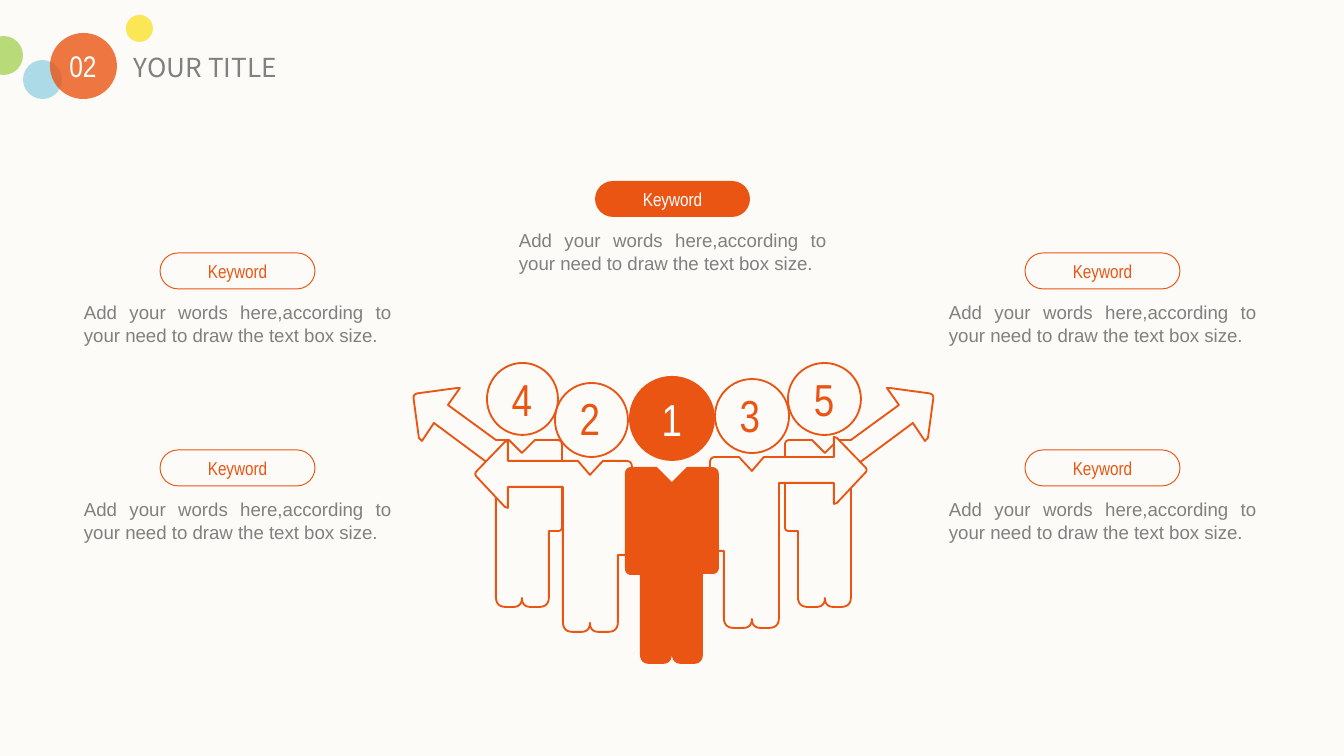
from lxml import etree
from pptx import Presentation
from pptx import util as u
from pptx.dml.color import RGBColor
from pptx.enum import shapes, text
from pptx.oxml.ns import qn

PX = 914400 / 134.4
THEME = {
    "paper": "FCFBF7", "orange": "EA5514", "gray": "808080", "white": "FFFFFF",
    "yellow": "FBE22D", "green": "A9D25A", "blue": "98D2E3",
    "narrow": "Arial Narrow", "body": "Arial", "heading": "Noto Sans CJK SC",
    "small": 10, "title": 14, "section": 16, "digit": 24,
}

TITLE = "YOUR TITLE"
SECTION = "02"
# left, top, width, height, colour
BUBBLES = [
    (126, 15, 27, 27, "yellow"), (-16, 36, 39, 39, "green"),
    (23, 60, 39, 39, "blue"), (50, 33, 67, 66, "orange"),
]
KEYWORD = "Keyword"
CAPTION = "Add your words here,according to your need to draw the text box size."
# left and top of each keyword pill, and whether it is solid
KEYWORDS = [
    (1025, 253, False), (1025, 450, False),
    (160, 253, False), (160, 450, False), (595, 181, True),
]

# Body outlines as corners: x, y, corner radius
OUTER_BODY = [
    (413, 394, 5), (457, 388, 0), (460, 388, 0), (448, 405, 0), (496, 440, 0),
    (509, 440, 0), (522, 453, 0), (535, 440, 0), (562, 440, 5), (562, 531, 4),
    (549, 531, 0), (549, 607, 10), (522, 607, 9), (522, 598, 0), (522, 607, 9),
    (496, 607, 10), (496, 469, 0), (434, 423, 0), (422, 441, 0), (419, 438, 0),
]
INNER_BODY = [
    (474, 474, 4), (505, 442, 0), (508, 441, 0), (508, 461, 0), (578, 461, 0),
    (590, 475, 0), (603, 461, 0), (632, 461, 6), (632, 555, 5), (618, 555, 0),
    (618, 632, 10), (590, 632, 9), (590, 623, 0), (590, 632, 9), (563, 632, 10),
    (563, 487, 0), (508, 487, 0), (508, 508, 0), (505, 507, 0),
]
LEADER_BODY = [
    (672, 482, 0), (687, 467, 0), (719, 467, 8), (719, 574, 7), (703, 574, 0),
    (703, 664, 10), (672, 664, 10), (672, 652, 0), (672, 664, 10), (640, 664, 10),
    (640, 575, 0), (625, 575, 7), (625, 467, 7), (657, 467, 0),
]


def mirror(corners, x_sum, lift=0):
    return [(x_sum - x, y - lift, radius) for x, y, radius in corners]


# Back to front: digit, digit position, head box, body, solid
PEOPLE = [
    ("5", (813, 372), (788, 363, 73, 72), mirror(OUTER_BODY, 1347), False),
    ("4", (511, 372), (487, 363, 71, 72), OUTER_BODY, False),
    ("2", (579, 391), (555, 383, 73, 74), INNER_BODY, False),
    ("3", (739, 388), (715, 379, 74, 74), mirror(INNER_BODY, 1342, 4), False),
    ("1", (661, 392), (629, 376, 86, 85), LEADER_BODY, True),
]


def emu(*lengths):
    return [u.Emu(round(length * PX)) for length in lengths]


def color(name):
    return RGBColor.from_string(THEME[name])


def paint(shape, fill, line=None, weight=1, alpha=None):
    shape.shadow.inherit = False
    shape.fill.solid()
    shape.fill.fore_color.rgb = color(fill)
    if alpha:
        tint = shape.fill._xPr.find(qn("a:solidFill"))[0]
        etree.SubElement(tint, qn("a:alpha")).set("val", str(alpha * 1000))
    if line:
        shape.line.color.rgb = color(line)
        shape.line.width = u.Pt(weight)
    else:
        shape.line.fill.background()


def write(shape, words, size="small", font="narrow", ink="gray",
          align=text.PP_ALIGN.CENTER, anchor=text.MSO_ANCHOR.TOP):
    frame = shape.text_frame
    frame.auto_size = text.MSO_AUTO_SIZE.NONE
    frame.word_wrap = True
    frame.margin_left = frame.margin_right = frame.margin_top = frame.margin_bottom = 0
    frame.vertical_anchor = anchor
    para = frame.paragraphs[0]
    para.alignment = align
    span = para.add_run()
    span.text = words
    span.font.size = u.Pt(THEME[size])
    span.font.name = THEME[font]
    span.font.color.rgb = color(ink)
    for tag in ("a:ea", "a:cs"):
        etree.SubElement(span.font._element, qn(tag)).set("typeface", THEME[font])


def toward(start, end, distance):
    dx, dy = end[0] - start[0], end[1] - start[1]
    share = distance / (dx * dx + dy * dy) ** 0.5 if distance else 0
    return start[0] + dx * share, start[1] + dy * share


def rounded(corners, steps=6):
    """Replace each corner that has a radius by points along a curve."""
    points = []
    for index, corner in enumerate(corners):
        x, y, radius = corner
        if not radius:
            points.append((x, y))
            continue
        first = toward(corner, corners[index - 1], radius)
        last = toward(corner, corners[(index + 1) % len(corners)], radius)
        for step in range(steps + 1):
            t = step / steps
            points.append(tuple((1 - t) ** 2 * a + 2 * t * (1 - t) * b + t * t * c
                                for a, b, c in zip(first, (x, y), last)))
    return points


def add_body(page, corners):
    points = [emu(*point) for point in rounded(corners)]
    outline = page.shapes.build_freeform(*points[0])
    outline.add_line_segments(points[1:], close=True)
    return outline.convert_to_shape()


def add_ellipse(page, *box):
    return page.shapes.add_shape(shapes.MSO_SHAPE.OVAL, *emu(*box))


def add_people(page):
    for _, _, head, corners, solid in PEOPLE:
        style = {"fill": "orange"} if solid else {"fill": "paper", "line": "orange"}
        # The inner pair hold their arms in front of their heads
        if corners[0][2] == 5:
            paint(add_body(page, corners), **style)
            paint(add_ellipse(page, *head), **style)
        else:
            paint(add_ellipse(page, *head), **style)
            paint(add_body(page, corners), **style)
    for digit, (left, top), _, _, solid in PEOPLE:
        box = page.shapes.add_textbox(*emu(left, top, 22, 54))
        write(box, digit, size="digit", ink="white" if solid else "orange")


def add_keyword(page, left, top, solid):
    box = page.shapes.add_textbox(*emu(left - 76, top + 48, 307, 46))
    write(box, CAPTION, font="body", align=text.PP_ALIGN.JUSTIFY)
    pill = page.shapes.add_shape(shapes.MSO_SHAPE.ROUNDED_RECTANGLE,
                                 *emu(left, top, 155, 36))
    pill.adjustments[0] = 0.5
    paint(pill, "orange" if solid else "paper", None if solid else "orange", 0.5)
    write(pill, KEYWORD, ink="white" if solid else "orange",
          anchor=text.MSO_ANCHOR.MIDDLE)


def add_header(page):
    for *box, tint in BUBBLES:
        paint(add_ellipse(page, *box), tint, alpha=80)
    number = page.shapes.add_textbox(*emu(59, 48, 48, 36))
    write(number, SECTION, size="section", ink="white")
    title = page.shapes.title
    title.left, title.top, title.width, title.height = emu(134, 51, 409, 32)
    write(title, TITLE, size="title", font="heading", align=text.PP_ALIGN.LEFT)


def main():
    deck = Presentation()
    deck.slide_width, deck.slide_height = emu(1344, 756)
    page = deck.slides.add_slide(deck.slide_layouts[5])
    page.background.fill.solid()
    page.background.fill.fore_color.rgb = color("paper")
    add_people(page)
    for keyword in KEYWORDS:
        add_keyword(page, *keyword)
    add_header(page)
    deck.save("out.pptx")


if __name__ == "__main__":
    main()
